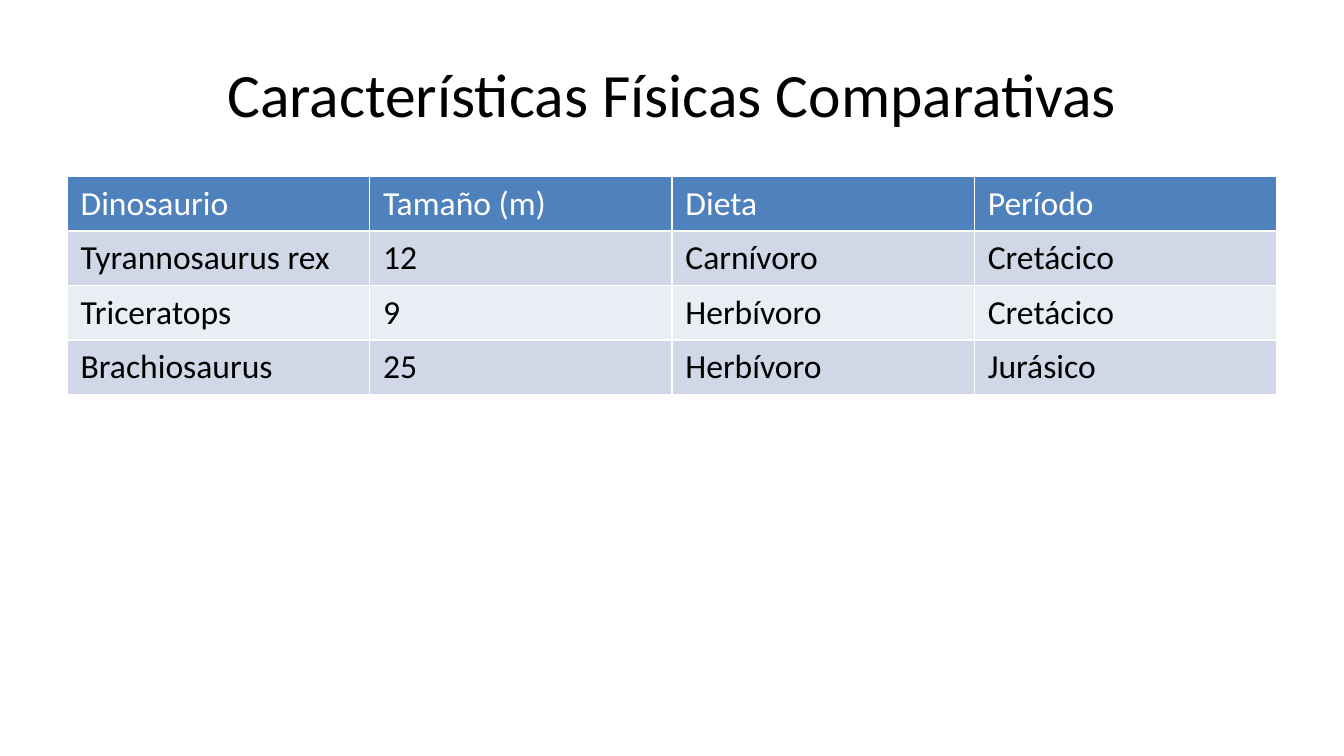
from pptx import Presentation
from pptx import util as u
from pptx.dml.color import RGBColor
from pptx.enum import text

BLACK = RGBColor(0x00, 0x00, 0x00)
WHITE = RGBColor(0xFF, 0xFF, 0xFF)
HEADER_BLUE = RGBColor(0x4F, 0x81, 0xBD)
BANDS = (RGBColor(0xD0, 0xD8, 0xE8), RGBColor(0xE9, 0xED, 0xF4))

TITLE_ONLY = 5
COLUMNS, ROWS = 20, 30  # grid of the slide
MARGIN = 1  # grid columns left free at each side

DINOSAURS = (
    ("Dinosaurio", "Tamaño (m)", "Dieta", "Período"),
    ("Tyrannosaurus rex", "12", "Carnívoro", "Cretácico"),
    ("Triceratops", "9", "Herbívoro", "Cretácico"),
    ("Brachiosaurus", "25", "Herbívoro", "Jurásico"),
)


class SlideBuilder:
    """Holds the text style and the page being filled; heights are grid rows."""

    font_name = "Calibri"

    def __init__(self, deck):
        self.page = deck.slides.add_slide(deck.slide_layouts[TITLE_ONLY])
        self.row = deck.slide_height / ROWS
        column = deck.slide_width // COLUMNS
        self.left = MARGIN * column
        self.width = (COLUMNS - 2 * MARGIN) * column

    def rows(self, count):
        return int(count * self.row)

    def style(self, para, size, color):
        font = para.font
        font.name = self.font_name
        font.size = u.Pt(size)
        font.bold = False
        font.color.rgb = color

    def title(self, words, top, height):
        box = self.page.shapes.title
        box.left, box.width = self.left, self.width
        box.top, box.height = self.rows(top), self.rows(height)
        frame = box.text_frame
        frame.text = words
        frame.vertical_anchor = text.MSO_ANCHOR.MIDDLE
        para = frame.paragraphs[0]
        para.alignment = text.PP_ALIGN.CENTER
        self.style(para, 33, BLACK)

    def table(self, records, top, height):
        """Add a banded table whose rows grow to fit their text."""
        box = self.page.shapes.add_table(
            len(records), len(records[0]), self.left, self.rows(top),
            self.width, self.rows(height))
        table = box.table
        for row, values in enumerate(records):
            table.rows[row].height = 0
            fill = BANDS[(row - 1) % 2] if row else HEADER_BLUE
            for column, value in enumerate(values):
                cell = table.cell(row, column)
                cell.text = value
                cell.fill.solid()
                cell.fill.fore_color.rgb = fill
                self.style(cell.text_frame.paragraphs[0], 18,
                           BLACK if row else WHITE)
        box.height = self.rows(height)


def main():
    deck = Presentation()
    deck.slide_width = u.Inches(10)
    deck.slide_height = deck.slide_width * 9 // 16
    builder = SlideBuilder(deck)
    builder.title("Características Físicas Comparativas", top=1.2, height=5)
    builder.table(DINOSAURS, top=7, height=6.93)
    deck.save("out.pptx")


if __name__ == "__main__":
    main()
